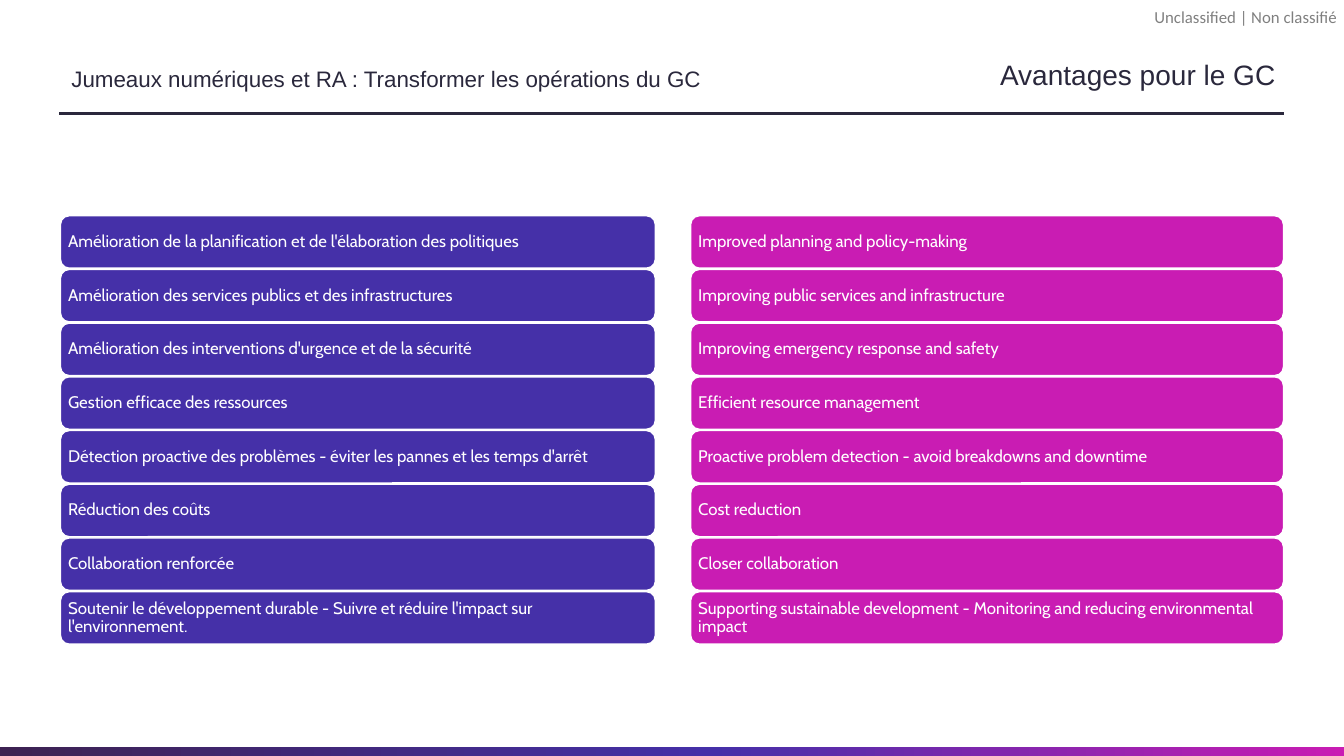
import copy

import pptx
import pptx.util
import pptx.dml.color
import pptx.enum.shapes
import pptx.enum.text
import pptx.oxml
import pptx.oxml.ns

Inches, Pt = pptx.util.Inches, pptx.util.Pt
RGBColor = pptx.dml.color.RGBColor
SHAPE = pptx.enum.shapes.MSO_SHAPE
ALIGN = pptx.enum.text.PP_ALIGN
ANCHOR = pptx.enum.text.MSO_ANCHOR
qn = pptx.oxml.ns.qn

# Content
MARKING = "Unclassified | Non classifié"
TITLE = "Jumeaux numériques et RA : Transformer les opérations du GC"
SUBTITLE = "Avantages pour le GC"
FRENCH = [
    "Amélioration de la planification et de l'élaboration des politiques",
    "Amélioration des services publics et des infrastructures",
    "Amélioration des interventions d'urgence et de la sécurité",
    "Gestion efficace des ressources",
    "Détection proactive des problèmes - éviter les pannes et les temps d'arrêt",
    "Réduction des coûts",
    "Collaboration renforcée",
    "Soutenir le développement durable - Suivre et réduire l'impact sur l'environnement.",
]
ENGLISH = [
    "Improved planning and policy-making",
    "Improving public services and infrastructure",
    "Improving emergency response and safety",
    "Efficient resource management",
    "Proactive problem detection - avoid breakdowns and downtime",
    "Cost reduction",
    "Closer collaboration",
    "Supporting sustainable development - Monitoring and reducing environmental impact",
]

# Colours
PLUM = RGBColor(0x3D, 0x22, 0x52)
INDIGO = RGBColor(0x45, 0x30, 0xA8)
MAGENTA = RGBColor(0xC9, 0x1C, 0xB3)
INK = RGBColor(0x2A, 0x28, 0x3C)
BLACK = RGBColor(0, 0, 0)
WHITE = RGBColor(0xFF, 0xFF, 0xFF)

# Layout: left and width of each column, then the rows
COLUMNS = [(0.6, 5.9, INDIGO, FRENCH), (6.85, 5.88, MAGENTA, ENGLISH)]
ROW_TOP, ROW_BOTTOM, ROW_HEIGHT = 2.14, 6.39, 0.52
ROW_STEP = (ROW_BOTTOM - ROW_HEIGHT - ROW_TOP) / (len(FRENCH) - 1)

prs = pptx.Presentation()
prs.slide_width, prs.slide_height = Inches(13.33), Inches(7.5)
s = prs.slides.add_slide(prs.slide_layouts[6])


def write(sp, text, font, size, color, spacing=1.0, align=ALIGN.LEFT, inset=None):
    tf = sp.text_frame
    tf.word_wrap = True
    if inset is not None:
        tf.margin_left = tf.margin_right = Inches(inset)
        tf.margin_top = tf.margin_bottom = Inches(inset)
    p = tf.paragraphs[0]
    p.alignment, p.line_spacing = align, spacing
    r = p.add_run()
    r.text = text
    r.font.name, r.font.size = font, Pt(size)
    r.font.color.rgb = color
    return r


def add_text(box, *args, **kwargs):
    return write(s.shapes.add_textbox(*map(Inches, box)), *args, **kwargs)


# Gradient band at the foot
band = s.shapes.add_shape(SHAPE.RECTANGLE, *map(Inches, (-0.01, 7.41, 13.35, 0.09)))
band.shadow.inherit = False
band.line.fill.background()
band.fill.gradient()
band.fill.gradient_angle = 0
stop_list = band.fill._fill._gradFill.find(qn("a:gsLst"))
stop_list.append(copy.deepcopy(stop_list[0]))
for stop, position, color in zip(band.fill.gradient_stops, (0, 0.53, 1), (PLUM, INDIGO, MAGENTA)):
    stop.position, stop.color.rgb = position, color

# Half-transparent marking in the corner
r = add_text((11.45, 0.07, 1.86, 0.2), MARKING, "Calibri", 12, BLACK, inset=0)
r.font._element.find(".//" + qn("a:srgbClr")).append(
    pptx.oxml.parse_xml('<a:alpha %s val="50000"/>' % pptx.oxml.ns.nsdecls("a")))
r.font._element.getparent().getparent().getparent().find(qn("a:bodyPr")).set("wrap", "none")

# Heading and rule
rule = s.shapes.add_connector(pptx.enum.shapes.MSO_CONNECTOR.STRAIGHT,
                              *map(Inches, (0.59, 1.13, 12.74, 1.13)))
rule.line.color.rgb, rule.line.width = INK, Pt(2.25)
rule._element.spPr.append(pptx.oxml.parse_xml("<a:effectLst %s/>" % pptx.oxml.ns.nsdecls("a")))
add_text((0.61, 0.57, 8.64, 0.55), TITLE, "Arial", 16, INK, 1.1)
add_text((9.39, 0.56, 3.36, 0.57), SUBTITLE, "Arial", 20, INK, 0.9, ALIGN.RIGHT)

# Two columns of benefits
for left, width, color, benefits in COLUMNS:
    for i, benefit in enumerate(benefits):
        sp = s.shapes.add_shape(SHAPE.ROUNDED_RECTANGLE, Inches(left),
                                Inches(ROW_TOP + i * ROW_STEP), Inches(width), Inches(ROW_HEIGHT))
        sp.shadow.inherit = False
        sp.fill.solid()
        sp.fill.fore_color.rgb = color
        sp.line.color.rgb, sp.line.width = WHITE, Pt(1)
        sp.text_frame.vertical_anchor = ANCHOR.MIDDLE
        write(sp, benefit, "Cabin", 12, WHITE, 0.9, inset=0.05)

prs.save("out.pptx")
